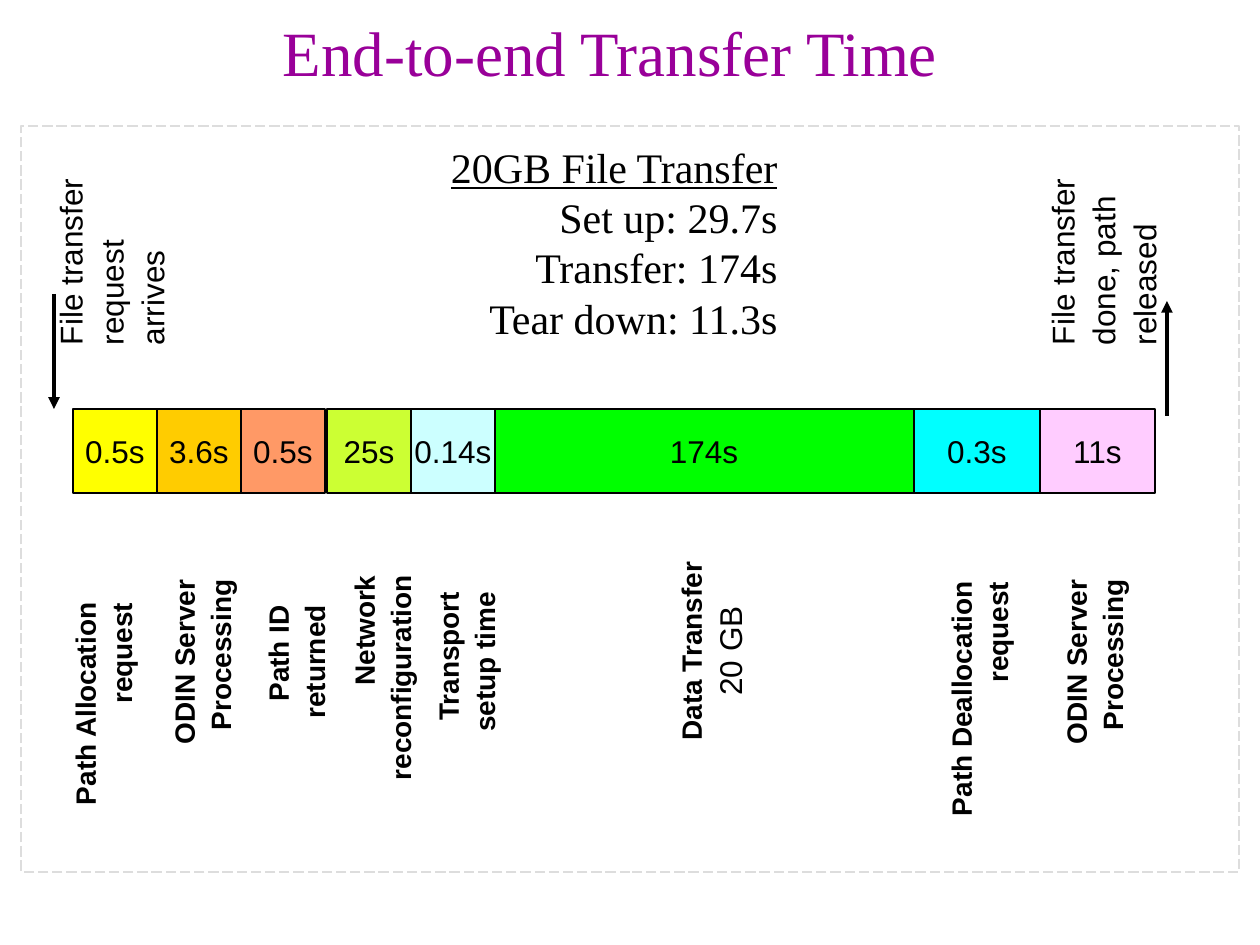
from typing import NamedTuple

import pptx
import pptx.dml.color
import pptx.enum.dml
import pptx.enum.shapes
import pptx.enum.text
import pptx.oxml
import pptx.oxml.ns
import pptx.util

EMU_PER_PX = 914400 // 126
SLIDE_WIDTH, SLIDE_HEIGHT = 1260, 945
BAR_TOP, BAR_HEIGHT = 409, 84
LABEL_TOP = 557

RGBColor = pptx.dml.color.RGBColor
BLACK = RGBColor(0x00, 0x00, 0x00)
PURPLE = RGBColor(0x99, 0x00, 0x99)
LIGHT_GRAY = RGBColor(0xDD, 0xDD, 0xDD)
YELLOW = RGBColor(0xFF, 0xFF, 0x00)
AMBER = RGBColor(0xFF, 0xCC, 0x00)
SALMON = RGBColor(0xFF, 0x99, 0x66)
LIME = RGBColor(0xCC, 0xFF, 0x33)
PALE_CYAN = RGBColor(0xCC, 0xFF, 0xFF)
GREEN = RGBColor(0x00, 0xFF, 0x00)
CYAN = RGBColor(0x00, 0xFF, 0xFF)
PINK = RGBColor(0xFF, 0xCC, 0xFF)

ALIGN = pptx.enum.text.PP_ALIGN
ANCHOR = pptx.enum.text.MSO_ANCHOR
RECTANGLE = pptx.enum.shapes.MSO_SHAPE.RECTANGLE


class Box(NamedTuple):
    left: int
    top: int
    width: int
    height: int


class Line(NamedTuple):
    text: str
    size: int
    font: str = "Arial"
    color: RGBColor = BLACK
    bold: bool = False
    underline: bool = False


class Segment(NamedTuple):
    left: int
    width: int
    duration: str
    fill: RGBColor


class Label(NamedTuple):
    box: Box
    lines: list[Line]
    alignment: ALIGN = ALIGN.RIGHT


class Arrow(NamedTuple):
    x: int
    start_y: int
    end_y: int


def heading(text: str) -> Line:
    return Line(text, 16, bold=True)


def summary(text: str, underline: bool = False) -> Line:
    return Line(text, 24, "Times New Roman", underline=underline)


SEGMENTS = [
    Segment(73, 84, "0.5s", YELLOW),
    Segment(157, 84, "3.6s", AMBER),
    Segment(241, 84, "0.5s", SALMON),
    Segment(494, 420, "174s", GREEN),
    Segment(914, 126, "0.3s", CYAN),
    Segment(1040, 115, "11s", PINK),
    Segment(327, 84, "25s", LIME),
    Segment(411, 84, "0.14s", PALE_CYAN),
]
LABELS = [
    Label(Box(1050, LABEL_TOP, 92, 210), [heading("ODIN Server Processing")]),
    Label(Box(1034, 157, 139, 210),
          [Line("File transfer done, path released", 18)], ALIGN.LEFT),
    Label(Box(42, 157, 139, 210),
          [Line("File transfer request arrives", 18)], ALIGN.LEFT),
    Label(Box(935, LABEL_TOP, 92, 284),
          [heading("Path Deallocation"), heading("request")]),
    Label(Box(665, 546, 96, 210),
          [heading("Data Transfer"), Line("20 GB", 18)], ALIGN.CENTER),
    Label(Box(252, LABEL_TOP, 92, 210), [heading("Path ID returned")]),
    Label(Box(158, LABEL_TOP, 92, 210), [heading("ODIN Server Processing")]),
    Label(Box(59, LABEL_TOP, 92, 294), [heading("Path Allocation request")]),
    Label(Box(338, LABEL_TOP, 92, 242), [heading("Network reconfiguration")]),
    Label(Box(422, LABEL_TOP, 92, 210), [heading("Transport setup time")]),
]
ARROWS = [Arrow(54, 294, 409), Arrow(1167, 416, 301)]
SUMMARY = [
    summary("20GB File Transfer", underline=True),
    summary("Set up: 29.7s"),
    summary("Transfer: 174s"),
    summary("Tear down: 11.3s"),
]


def px(length: int) -> int:
    return pptx.util.Emu(length * EMU_PER_PX)


def emu_box(box: Box) -> list[int]:
    return [px(length) for length in box]


def write_lines(frame, lines: list[Line], alignment: ALIGN, spacing=None) -> None:
    for index, line in enumerate(lines):
        paragraph = frame.add_paragraph() if index else frame.paragraphs[0]
        paragraph.alignment = alignment
        paragraph.line_spacing = spacing
        run = paragraph.add_run()
        run.text = line.text
        run.font.size = pptx.util.Pt(line.size)
        run.font.name = line.font
        run.font.color.rgb = line.color
        run.font.bold = line.bold
        run.font.underline = line.underline


def add_rectangle(slide, box: Box, line_color: RGBColor):
    shape = slide.shapes.add_shape(RECTANGLE, *emu_box(box))
    shape.shadow.inherit = False
    shape.line.color.rgb = line_color
    shape.line.width = pptx.util.Pt(0.75)
    return shape


def add_frame(slide) -> None:
    shape = add_rectangle(slide, Box(21, 126, 1218, 746), LIGHT_GRAY)
    shape.fill.background()
    shape.line.dash_style = pptx.enum.dml.MSO_LINE.LONG_DASH


def add_segment(slide, segment: Segment) -> None:
    box = Box(segment.left, BAR_TOP, segment.width, BAR_HEIGHT)
    shape = add_rectangle(slide, box, BLACK)
    shape.fill.solid()
    shape.fill.fore_color.rgb = segment.fill
    frame = shape.text_frame
    frame.word_wrap = False
    frame.vertical_anchor = ANCHOR.MIDDLE
    write_lines(frame, [Line(segment.duration, 18)], ALIGN.CENTER)


def add_label(slide, label: Label) -> None:
    """Add text that reads upwards, its block centred along the box."""
    frame = slide.shapes.add_textbox(*emu_box(label.box)).text_frame
    frame.word_wrap = True
    frame.margin_left = frame.margin_right = pptx.util.Inches(0.05)
    frame.margin_top = frame.margin_bottom = pptx.util.Inches(0.1)
    body = frame._txBody.bodyPr
    body.set("vert", "vert270")
    body.set("anchorCtr", "1")
    write_lines(frame, label.lines, label.alignment, 1.08)


def add_arrow(slide, arrow: Arrow) -> None:
    connector = slide.shapes.add_connector(
        pptx.enum.shapes.MSO_CONNECTOR.STRAIGHT,
        px(arrow.x), px(arrow.start_y), px(arrow.x), px(arrow.end_y))
    connector.line.color.rgb = BLACK
    connector.line.width = pptx.util.Pt(2.25)
    tail = pptx.oxml.parse_xml(
        f'<a:tailEnd {pptx.oxml.ns.nsdecls("a")} type="triangle"/>')
    connector.line._get_or_add_ln().append(tail)
    effects = pptx.oxml.parse_xml(
        f'<a:effectLst {pptx.oxml.ns.nsdecls("a")}/>')
    connector._element.spPr.append(effects)


def add_title(slide) -> None:
    frame = slide.shapes.add_textbox(*emu_box(Box(58, 0, 1150, 103))).text_frame
    frame.word_wrap = True
    frame.vertical_anchor = ANCHOR.MIDDLE
    frame.margin_right = px(58)
    title = Line("End-to-end Transfer Time", 36, "Times New Roman", PURPLE)
    write_lines(frame, [title], ALIGN.CENTER)


def add_summary(slide) -> None:
    frame = slide.shapes.add_textbox(*emu_box(Box(436, 135, 354, 214))).text_frame
    frame.word_wrap = False
    write_lines(frame, SUMMARY, ALIGN.RIGHT, pptx.util.Pt(28.8))


def main() -> None:
    presentation = pptx.Presentation()
    presentation.slide_width = px(SLIDE_WIDTH)
    presentation.slide_height = px(SLIDE_HEIGHT)
    slide = presentation.slides.add_slide(presentation.slide_layouts[6])
    add_frame(slide)
    for segment in SEGMENTS:
        add_segment(slide, segment)
    for arrow in ARROWS:
        add_arrow(slide, arrow)
    for label in LABELS:
        add_label(slide, label)
    add_title(slide)
    add_summary(slide)
    presentation.save("out.pptx")


if __name__ == "__main__":
    main()
